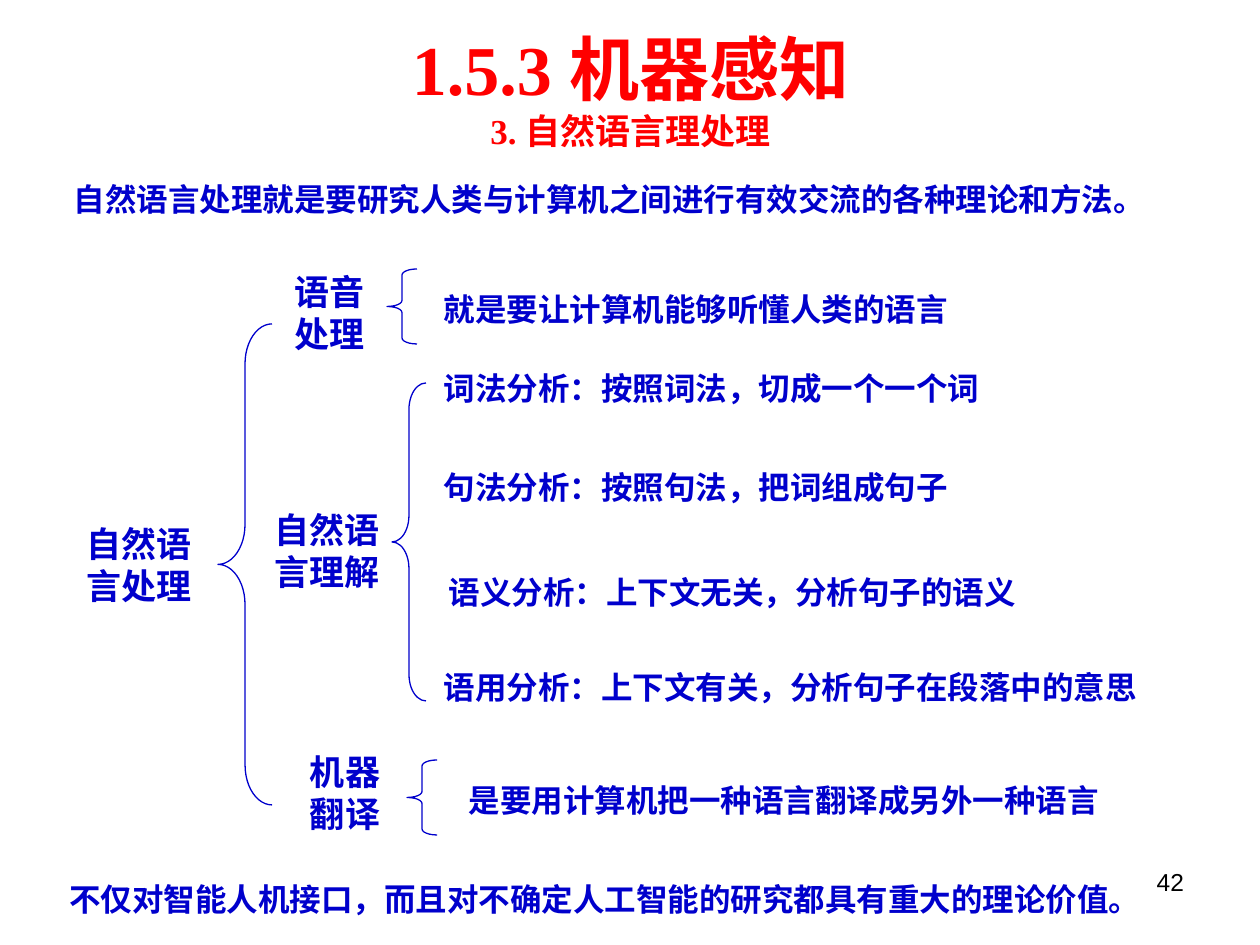
from pptx import Presentation
from pptx import util as u
from pptx.dml.color import RGBColor
from pptx.enum import shapes, text
from pptx.oxml.ns import qn

SCALE = 914400 / 126
RED = RGBColor(0xFF, 0x00, 0x00)
BLUE = RGBColor(0x00, 0x00, 0xCC)
BLACK = RGBColor(0x00, 0x00, 0x00)
SERIF = "Times New Roman"
WIDE = (13, 6)
TIGHT = (3, 1)

LABELS = [
    ("自然语言处理", 84, 522, 129),
    ("自然语言理解", 272, 508, 129),
    ("语音处理", 292, 270, 100),
    ("机器翻译", 307, 750, 79),
]
DETAILS = [
    ("就是要让计算机能够听懂人类的语言", 441, 289, 605),
    ("词法分析：按照词法，切成一个一个词", 441, 368, 725),
    ("句法分析：按照句法，把词组成句子", 441, 467, 670),
    ("语义分析：上下文无关，分析句子的语义", 446, 572, 714),
    ("语用分析：上下文有关，分析句子在段落中的意思", 441, 667, 753),
    ("是要用计算机把一种语言翻译成另外一种语言", 466, 780, 674),
]
BRACES = [
    (218, 324, 54, 481, 0.74),
    (387, 269, 30, 75, 0.2),
    (392, 383, 34, 318, 0.78),
    (407, 760, 30, 75, 0.2),
]


def px(length):
    return u.Emu(round(length * SCALE))


def apply(target, values):
    for name, value in values.items():
        setattr(target, name, value)


def style(span, size, color, name=SERIF, bold=True):
    apply(span.font, {"size": u.Pt(size), "name": name, "bold": bold})
    span.font.color.rgb = color


def add_box(page, place, insets, fit=text.MSO_AUTO_SIZE.SHAPE_TO_FIT_TEXT):
    box = page.shapes.add_textbox(*map(px, place))
    across, down = map(px, insets)
    apply(box.text_frame, {
        "word_wrap": True, "auto_size": fit,
        "margin_left": across, "margin_right": across,
        "margin_top": down, "margin_bottom": down,
    })
    return box


def add_text(page, words, place, insets, size, color=BLUE, **look):
    box = add_box(page, place, insets)
    para = box.text_frame.paragraphs[0]
    span = para.add_run()
    span.text = words
    style(span, size, color, **look)
    return para


def add_statement(page, words, place):
    para = add_text(page, words, place, WIDE, 18)
    para._p.get_or_add_pPr().set("indent", str(px(31)))
    return para


def add_title(page):
    box = add_box(page, (42, 21, 1177, 136), WIDE, text.MSO_AUTO_SIZE.NONE)
    box.text_frame.vertical_anchor = text.MSO_ANCHOR.MIDDLE
    para = box.text_frame.paragraphs[0]
    para.alignment = text.PP_ALIGN.CENTER
    heading = para.add_run()
    heading.text = "1.5.3 机器感知"
    style(heading, 40, RED)
    para.add_line_break()
    subheading = para.add_run()
    subheading.text = "3. 自然语言理处理"
    style(subheading, 20, RED)


def add_brace(page, left, top, width, height, curve):
    brace = page.shapes.add_shape(
        shapes.MSO_SHAPE.LEFT_BRACE, *map(px, (left, top, width, height)))
    brace.adjustments[0] = curve
    brace.shadow.inherit = False
    brace.fill.background()
    brace.line.color.rgb = BLUE
    brace.line.width = u.Pt(0.75)


def main():
    deck = Presentation()
    deck.slide_width, deck.slide_height = px(1260), px(945)
    page = deck.slides.add_slide(deck.slide_layouts[6])

    number = add_text(page, "42", (903, 861, 294, 66), WIDE, 14, BLACK,
                      name="Arial", bold=False)
    number.alignment = text.PP_ALIGN.RIGHT
    add_title(page)

    intro = add_statement(
        page, "自然语言处理就是要研究人类与计算机之间进行有效交流的各种理论和方法。",
        (30, 170, 1196, 54))
    intro.line_spacing = 1.1
    for words, left, top, width in LABELS:
        add_text(page, words, (left, top, width, 87), TIGHT, 20)
    for words, left, top, width in DETAILS:
        add_text(page, words, (left, top, width, 40), TIGHT, 18)
    for brace in BRACES:
        add_brace(page, *brace)
    add_statement(
        page, "不仅对智能人机接口，而且对不确定人工智能的研究都具有重大的理论价值。",
        (25, 874, 1126, 88))

    deck.save("out.pptx")


if __name__ == "__main__":
    main()
